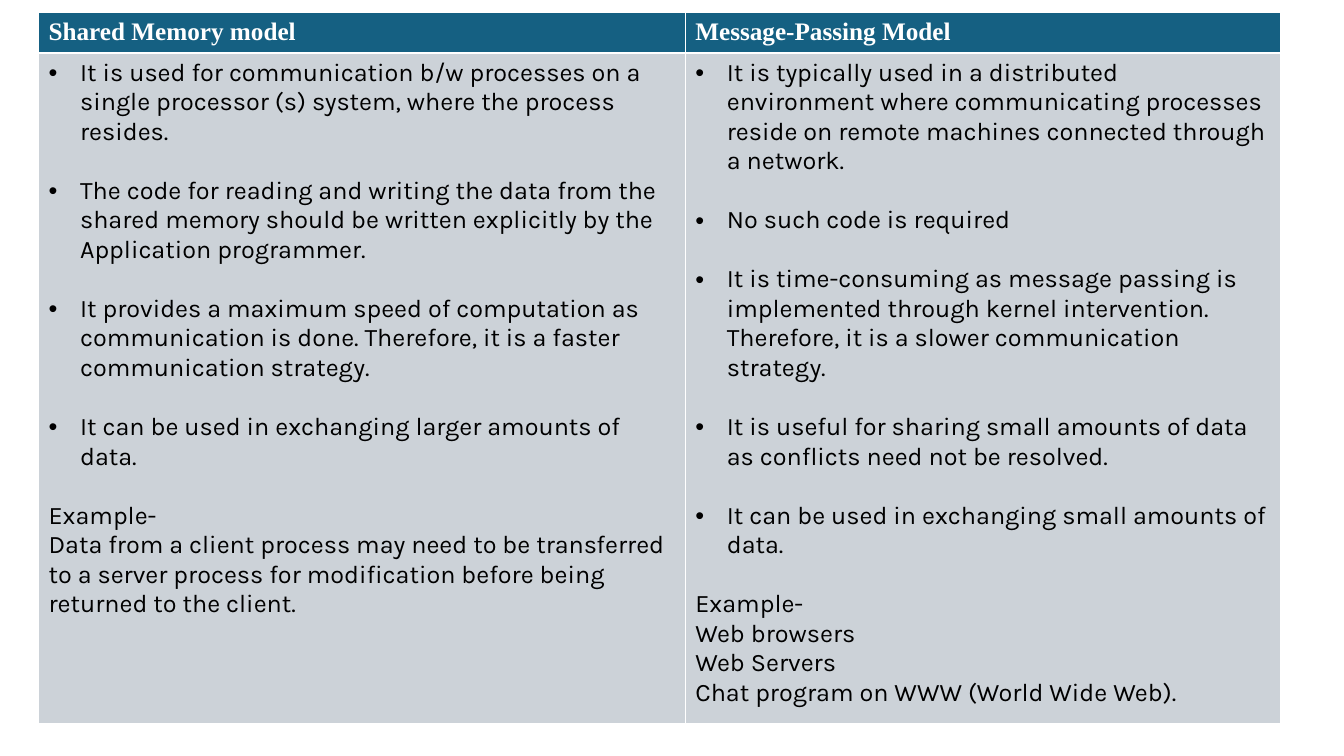
import pptx
import pptx.dml.color
import pptx.util
from lxml import etree

Pt = pptx.util.Pt
NS = "http://schemas.openxmlformats.org/drawingml/2006/main"


def color(code):
    return pptx.dml.color.RGBColor.from_string(code)


def paint(cell, code):
    """Give a cell thin white borders and a solid fill."""
    props = cell._tc.get_or_add_tcPr()
    for side in "LRTB":
        line = etree.SubElement(props, f"{{{NS}}}ln{side}", w=str(Pt(1)))
        fill = etree.SubElement(line, f"{{{NS}}}solidFill")
        etree.SubElement(fill, f"{{{NS}}}srgbClr", val="FFFFFF")
    cell.fill.solid()
    cell.fill.fore_color.rgb = color(code)


# Heading, bulleted points, example lines
models = [
    (
        "Shared Memory model",
        [
            "It is used for communication b/w processes on a single processor (s) system, "
            "where the process resides.",
            "The code for reading and writing the data from the shared memory should be "
            "written explicitly by the Application programmer.",
            "It provides a maximum speed of computation as communication is done. "
            "Therefore, it is a faster communication strategy.",
            "It can be used in exchanging larger amounts of data.",
        ],
        [
            "Example-",
            "Data from a client process may need to be transferred to a server process "
            "for modification before being returned to the client.",
        ],
    ),
    (
        "Message-Passing Model",
        [
            "It is typically used in a distributed environment where communicating "
            "processes reside on remote machines connected through a network.",
            "No such code is required",
            "It is time-consuming as message passing is implemented through kernel "
            "intervention. Therefore, it is a slower communication strategy.",
            "It is useful for sharing small amounts of data as conflicts need not be "
            "resolved.",
            "It can be used in exchanging small amounts of data.",
        ],
        [
            "Example-",
            "Web browsers",
            "Web Servers",
            "Chat program on WWW (World Wide Web).",
        ],
    ),
]

deck = pptx.Presentation()
deck.slide_width, deck.slide_height = Pt(960), Pt(540)
slide = deck.slides.add_slide(deck.slide_layouts[6])

widths, heights = [462, 425.5], [28.8, 479.2]
frame = slide.shapes.add_table(
    2, 2, Pt(27.5), Pt(9), Pt(sum(widths)), Pt(sum(heights))
)
table = frame.table
table.horz_banding = False
for row, height in zip(table.rows, heights):
    row.height = Pt(height)

for col, (title, points, example) in enumerate(models):
    table.columns[col].width = Pt(widths[col])

    head = table.cell(0, col)
    paint(head, "156082")
    para = head.text_frame.paragraphs[0]
    para.text = title
    para.font.name = "Times New Roman"
    para.font.size = Pt(18)
    para.font.bold = True
    para.font.color.rgb = color("FFFFFF")

    body = table.cell(1, col)
    paint(body, "CCD2D8")
    text = body.text_frame
    for i, line in enumerate(points + example):
        para = text.add_paragraph() if i else text.paragraphs[0]
        para.text = line
        if 0 < i <= len(points):
            para.space_before = Pt(21)
        if i < len(points):
            props = para._p.get_or_add_pPr()
            props.set("marL", str(Pt(22.5)))
            props.set("indent", str(-Pt(22.5)))
            etree.SubElement(props, f"{{{NS}}}buFont", typeface="Arial")
            etree.SubElement(props, f"{{{NS}}}buChar", char="•")
        para.font.name = "Karla"
        para.font.size = Pt(18)
        para.font.bold = False
        para.font.color.rgb = color("000000")

deck.save("out.pptx")
